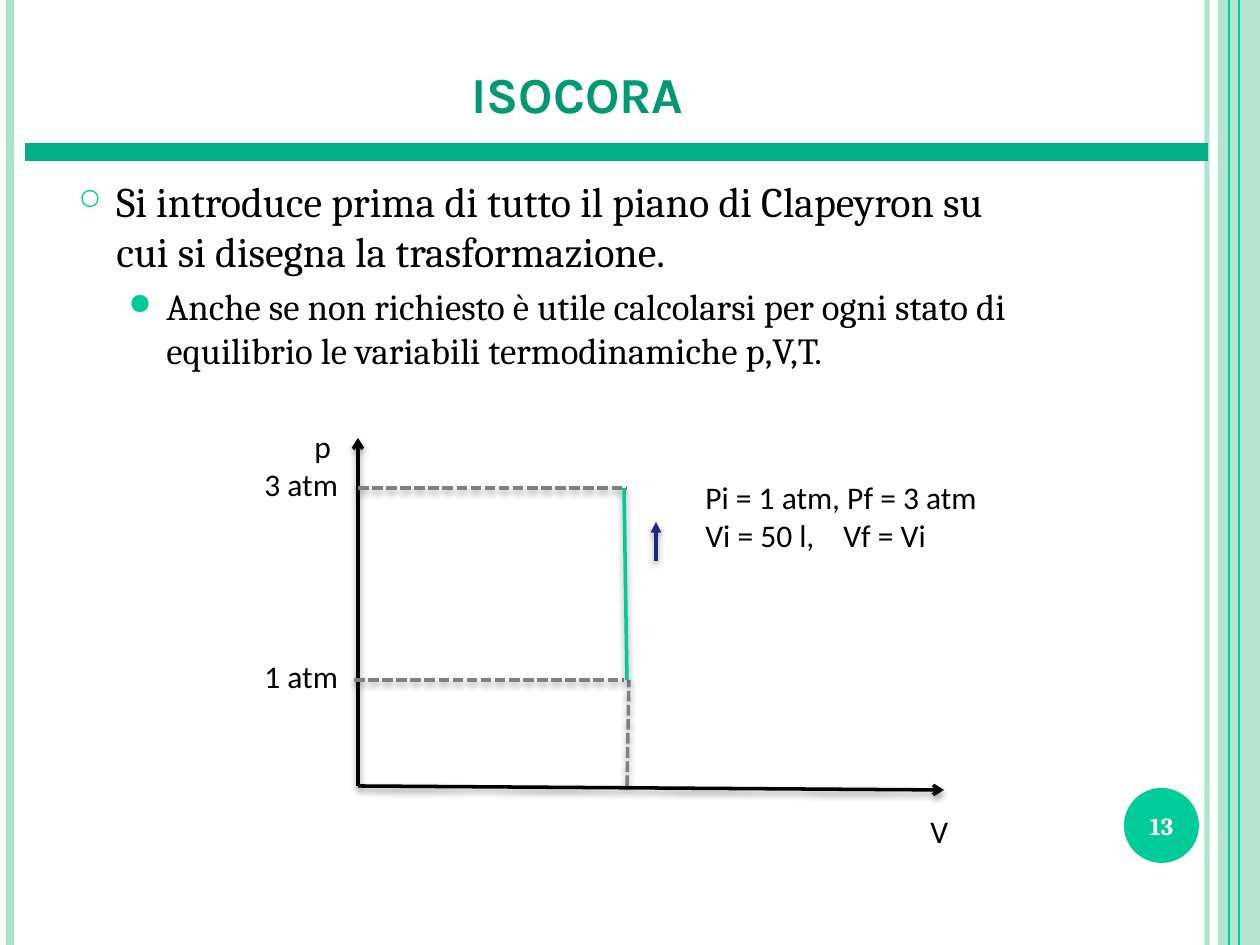
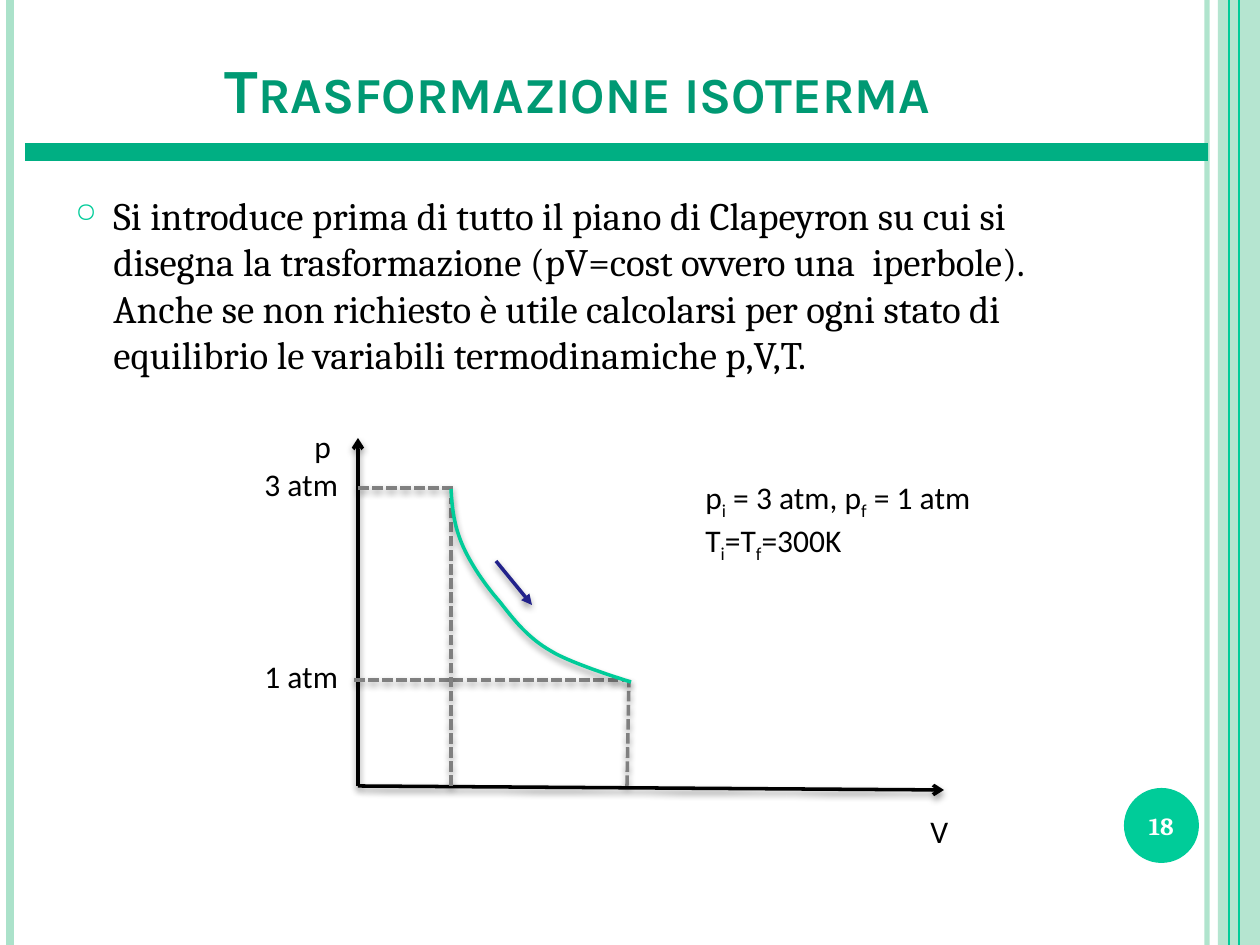
from pptx import Presentation
from pptx.dml.color import RGBColor
from pptx.enum.dml import MSO_LINE
from pptx.enum.shapes import MSO_CONNECTOR, MSO_SHAPE
from pptx.enum.text import MSO_ANCHOR, MSO_AUTO_SIZE, PP_ALIGN
from pptx.oxml.ns import qn
from pptx.util import Emu, Pt
from lxml.etree import SubElement

SCALE = 914400 / 126
WIDTH, HEIGHT = 1260, 945
COLORS = {
    "mint": "ABE2CA", "green": "00CC99", "band": "00AF83", "title": "009973",
    "black": "000000", "white": "FFFFFF", "gray": "808080", "blue": "22228B",
}
FONTS = {"title": "Karla", "body": "Cambria", "diagram": "Calibri"}
BULLETS = [("○", 70, 38, 6), ("●", 80, 88, 4.2)]
HANGING = 38

FRAME_LINES = [
    ((1207, 0, 1207, HEIGHT), "mint", 3, 93),
    ((10, 0, 10, HEIGHT), "mint", 4.5, 100),
    ((1239, 0, 1239, HEIGHT), "green", 1.5, 100),
    ((1229, 0, 1229, HEIGHT), "green", 0.75, 100),
    ((25, 152, 1208, 152), "band", 10, 100),
]
AXES = [(358, 786, 944, 790), (358, 786, 358, 438)]
SHARED_GUIDES = [(354, 680, 624, 680), (627, 786, 629, 680)]
AXIS_LABELS = [("p", 50, 0), ("3 atm", 0, 0), ("1 atm", 0, 88)]

SLIDES = [
    {
        "title": "isocora",
        "number": "13",
        "body_box": (66, 169, 965, 672),
        "body_size": (24, 21),
        "body": [
            (0, "Si introduce prima di tutto il piano di Clapeyron su cui si disegna la trasformazione."),
            (1, "Anche se non richiesto è utile calcolarsi per ogni stato di equilibrio le variabili "
                "termodinamiche p,V,T."),
        ],
        "states": [[("Pi = 1 atm, Pf = 3 atm", False)], [("Vi = 50 l,\tVf = Vi", False)]],
        "guides": [(358, 488, 627, 488)],
        "process": [(627, 680), (624, 488)],
        "direction": (656, 561, 656, 522),
    },
    {
        "title": "Trasformazione isoterma",
        "number": "18",
        "body_box": (63, 185, 1002, 236),
        "body_size": (22.2,),
        "body": [
            (0, "Si introduce prima di tutto il piano di Clapeyron su cui si disegna la trasformazione "
                "(pV=cost ovvero una  iperbole). Anche se non richiesto è utile calcolarsi per ogni stato "
                "di equilibrio le variabili termodinamiche p,V,T."),
        ],
        "states": [
            [("p", False), ("i", True), (" = 3 atm, p", False), ("f", True), (" = 1 atm", False)],
            [("T", False), ("i", True), ("=T", False), ("f", True), ("=300K", False)],
        ],
        "guides": [(358, 488, 455, 488), (451, 786, 451, 498)],
        "process": [
            (451, 489), (452, 508), (454, 525), (462, 544), (470, 563), (485, 585), (500, 602),
            (514, 620), (528, 638), (551, 651), (572, 664), (631, 682), (631, 682),
        ],
        "direction": (496, 561, 532, 605),
    },
]


def px(value):
    """Turn pixels into EMU."""
    return Emu(round(value * SCALE))


def rgb(name):
    """Look up a named colour."""
    return RGBColor.from_string(COLORS[name])


def set_alpha(shape, percent):
    """Make the shape's first colour partly transparent."""
    if percent < 100:
        color = shape._element.spPr.find(".//" + qn("a:srgbClr"))
        SubElement(color, qn("a:alpha"), val=str(percent * 1000))


def set_effect(shape, shadow):
    """Give a shape the diagram's soft shadow, or none."""
    effects = SubElement(shape._element.spPr, qn("a:effectLst"))
    if shadow:
        outer = SubElement(effects, qn("a:outerShdw"), blurRad=str(Pt(4)), dist=str(Pt(2)),
                           dir="5400000", rotWithShape="0")
        color = SubElement(outer, qn("a:srgbClr"), val=COLORS["black"])
        SubElement(color, qn("a:alpha"), val="40000")


def add_line(slide, ends, color, width=2, alpha=100, dashed=False, head=None, shadow=False):
    """Draw a straight line, optionally dashed or with an arrowhead."""
    line = slide.shapes.add_connector(MSO_CONNECTOR.STRAIGHT, *map(px, ends))
    line.line.color.rgb = rgb(color)
    line.line.width = Pt(width)
    if dashed:
        line.line.dash_style = MSO_LINE.SQUARE_DOT
    if head:
        SubElement(line.line._get_or_add_ln(), qn("a:tailEnd"), type=head)
    set_alpha(line, alpha)
    set_effect(line, shadow)


def add_run(paragraph, text, font, size, color="black", bold=False):
    """Append a formatted run."""
    run = paragraph.add_run()
    run.text = text
    run.font.name = FONTS[font]
    run.font.size = Pt(size)
    run.font.bold = bold
    run.font.color.rgb = rgb(color)
    return run


def add_text_frame(slide, box):
    """Add a wrapping text box and return its frame."""
    frame = slide.shapes.add_textbox(*map(px, box)).text_frame
    frame.word_wrap = True
    return frame


def paragraphs(frame, items):
    """Pair each item with a paragraph of the frame."""
    for index, item in enumerate(items):
        yield (frame.add_paragraph() if index else frame.paragraphs[0]), item


def add_solid(slide, kind, box, color, alpha=100):
    """Add a flat filled shape."""
    shape = slide.shapes.add_shape(kind, *map(px, box))
    shape.shadow.inherit = False
    shape.fill.solid()
    shape.fill.fore_color.rgb = rgb(color)
    shape.line.fill.background()
    set_alpha(shape, alpha)
    return shape


def add_frame(slide, title, number):
    """Draw the side stripes, title, band and page badge."""
    add_solid(slide, MSO_SHAPE.RECTANGLE, (1218, 0, 42, HEIGHT), "mint", 87)
    for ends, color, width, alpha in FRAME_LINES:
        add_line(slide, ends, color, width, alpha)

    badge = add_solid(slide, MSO_SHAPE.OVAL, (1124, 788, 75, 75), "green").text_frame
    badge.margin_left = badge.margin_right = 0
    badge.vertical_anchor = MSO_ANCHOR.MIDDLE
    badge.paragraphs[0].alignment = PP_ALIGN.CENTER
    add_run(badge.paragraphs[0], number, "body", 14, "white", True)

    holder = slide.shapes.title
    holder.left, holder.top, holder.width, holder.height = map(px, (63, 38, 1029, 158))
    frame = holder.text_frame
    frame.auto_size = MSO_AUTO_SIZE.NONE
    frame.vertical_anchor = MSO_ANCHOR.TOP
    frame.margin_top = px(12)
    frame.paragraphs[0].alignment = PP_ALIGN.CENTER
    run = add_run(frame.paragraphs[0], title, "title", 36, "title", True)
    run.font._element.set("cap", "small")


def add_body(slide, box, sizes, items):
    """Write the bulleted text."""
    for paragraph, (level, text) in paragraphs(add_text_frame(slide, box), items):
        symbol, percent, margin, before = BULLETS[level]
        paragraph.level = level
        paragraph.space_before = Pt(before)
        properties = paragraph._p.get_or_add_pPr()
        properties.set("marL", str(px(margin)))
        properties.set("indent", str(-px(HANGING)))
        color = SubElement(properties, qn("a:buClr"))
        SubElement(color, qn("a:srgbClr"), val=COLORS["green"])
        SubElement(properties, qn("a:buSzPct"), val=str(percent * 1000))
        SubElement(properties, qn("a:buChar"), char=symbol)
        add_run(paragraph, text, "body", sizes[level])


def bezier_points(controls, steps=16):
    """Sample a chain of cubic curves, each sharing its start with the last end."""
    points = [controls[0]]
    for start in range(0, len(controls) - 1, 3):
        segment = controls[start:start + 4]
        for step in range(1, steps + 1):
            t = step / steps
            weights = ((1 - t) ** 3, 3 * t * (1 - t) ** 2, 3 * t * t * (1 - t), t ** 3)
            points.append(tuple(sum(w * point[axis] for w, point in zip(weights, segment))
                                for axis in (0, 1)))
    return points


def add_process(slide, controls):
    """Draw the transformation as a line or a smooth curve."""
    if len(controls) == 2:
        add_line(slide, controls[0] + controls[1], "green", shadow=True)
        return
    points = [(px(x), px(y)) for x, y in bezier_points(controls)]
    builder = slide.shapes.build_freeform(*points[0], scale=1.0)
    builder.add_line_segments(points[1:], close=False)
    curve = builder.convert_to_shape()
    curve.fill.background()
    curve.line.color.rgb = rgb("green")
    curve.line.width = Pt(2)
    set_effect(curve, True)


def add_diagram(slide, content):
    """Draw the pressure-volume plane with its labels."""
    for ends in AXES:
        add_line(slide, ends, "black", head="arrow", shadow=True)
    for ends in SHARED_GUIDES + content["guides"]:
        add_line(slide, ends, "gray", dashed=True, shadow=True)
    add_process(slide, content["process"])
    add_line(slide, content["direction"], "blue", head="triangle", shadow=True)

    states = add_text_frame(slide, (693, 472, 316, 90))
    for paragraph, runs in paragraphs(states, content["states"]):
        tabs = SubElement(paragraph._p.get_or_add_pPr(), qn("a:tabLst"))
        SubElement(tabs, qn("a:tab"), pos=str(px(138)), algn="l")
        for text, subscript in runs:
            run = add_run(paragraph, text, "diagram", 18)
            if subscript:
                run.font._element.set("baseline", "-25000")

    labels = add_text_frame(slide, (252, 421, 160, 280))
    for paragraph, (text, margin, before) in paragraphs(labels, AXIS_LABELS):
        paragraph.space_before = Pt(before)
        paragraph._p.get_or_add_pPr().set("marL", str(px(margin)))
        add_run(paragraph, text, "diagram", 18)
    volume = add_text_frame(slide, (918, 806, 66, 50))
    add_run(volume.paragraphs[0], "V", "diagram", 18)


def main():
    """Build and save the presentation."""
    presentation = Presentation()
    presentation.slide_width, presentation.slide_height = px(WIDTH), px(HEIGHT)
    for content in SLIDES:
        slide = presentation.slides.add_slide(presentation.slide_layouts[5])
        add_frame(slide, content["title"], content["number"])
        add_body(slide, content["body_box"], content["body_size"], content["body"])
        add_diagram(slide, content)
    presentation.save("out.pptx")


if __name__ == "__main__":
    main()
